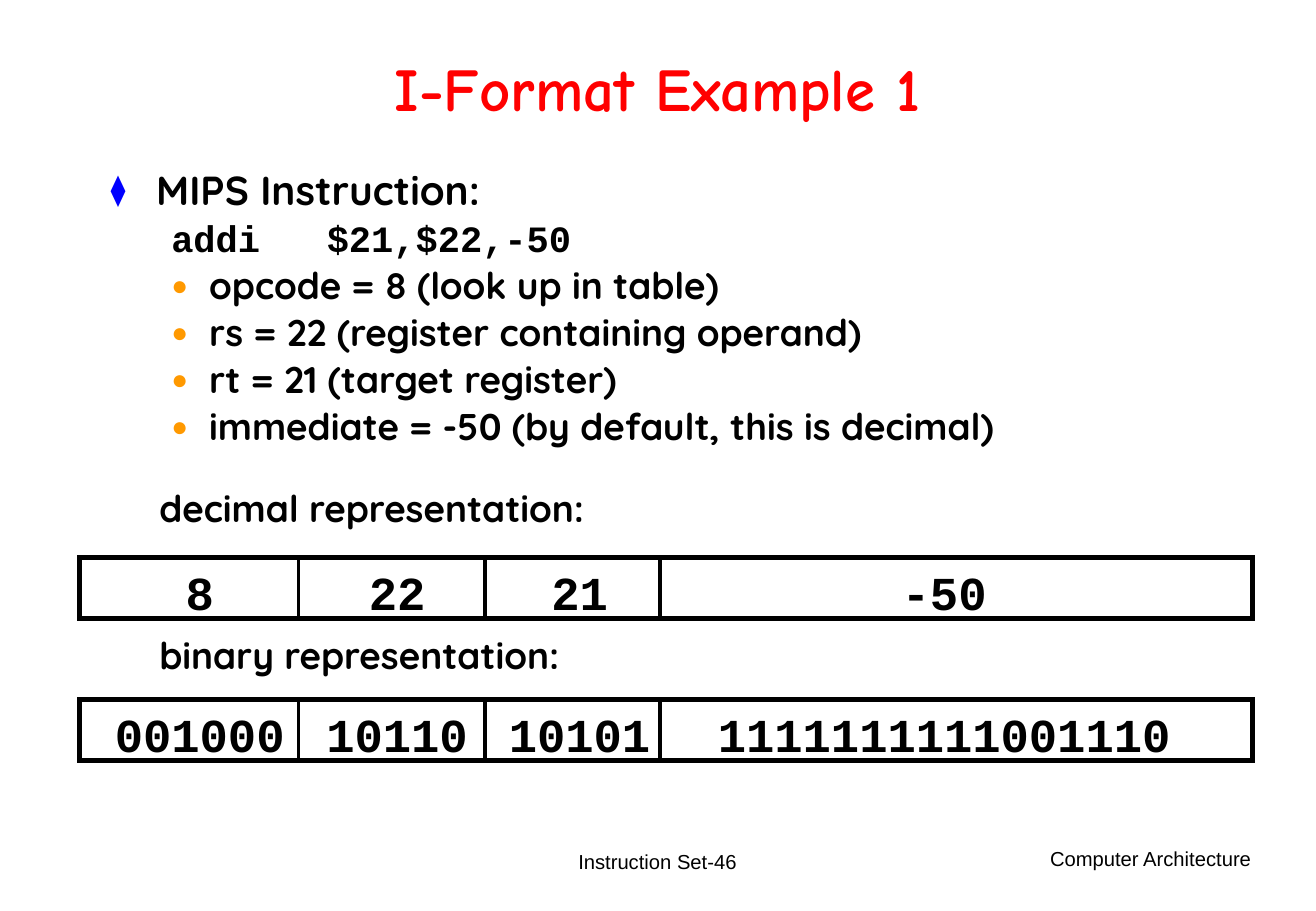
"""Builds the I-Format example slide with decimal and binary field rows."""
from lxml import etree
from pptx import Presentation
from pptx.dml.color import RGBColor
from pptx.enum.shapes import MSO_CONNECTOR, MSO_SHAPE
from pptx.enum.text import MSO_ANCHOR, PP_ALIGN
from pptx.oxml.ns import qn
from pptx.util import Pt

LEFT, CENTER, RIGHT = PP_ALIGN.LEFT, PP_ALIGN.CENTER, PP_ALIGN.RIGHT
TOP, MIDDLE = MSO_ANCHOR.TOP, MSO_ANCHOR.MIDDLE
RECTANGLE, STRAIGHT = MSO_SHAPE.RECTANGLE, MSO_CONNECTOR.STRAIGHT
BLACK = RGBColor(0, 0, 0)
RED = RGBColor(0xFF, 0, 0)
BLUE = RGBColor(0, 0, 0xFF)
ORANGE = RGBColor(0xFF, 0x99, 0)


def add_box(x, y, w, h, align=LEFT, anchor=TOP, wrap=True):
    tf = s.shapes.add_textbox(Pt(x), Pt(y), Pt(w), Pt(h)).text_frame
    tf.word_wrap = wrap
    tf.vertical_anchor = anchor
    tf.paragraphs[0].alignment = align
    return tf


def add_run(p, text, font, size, color=BLACK, bold=True):
    r = p.add_run()
    r.text = text
    r.font.name = font
    r.font.size = Pt(size)
    r.font.color.rgb = color
    r.font.bold = bold


prs = Presentation()
prs.slide_width, prs.slide_height = Pt(780.48), Pt(540)
s = prs.slides.add_slide(prs.slide_layouts[6])

tf = add_box(58.5, 19.5, 663, 71, CENTER, MIDDLE)
tf.paragraphs[0].line_spacing = 0.85
add_run(tf.paragraphs[0], "I-Format Example 1", "Comic Neue", 36, RED)

body = [
    ("MIPS Instruction:", "Quicksand", 24, "⧫", BLUE),
    ("addi   $21,$22,-50", "Courier New", 22, None, None),
    ("opcode = 8 (look up in table)", "Quicksand", 22, "●", ORANGE),
    ("rs = 22 (register containing operand)", "Quicksand", 22, "●", ORANGE),
    ("rt = 21 (target register)", "Quicksand", 22, "●", ORANGE),
    ("immediate = -50 (by default, this is decimal)", "Quicksand", 22, "●", ORANGE),
]
tf = add_box(58.5, 97.4, 663, 400)
for i, (text, font, size, bullet, bullet_color) in enumerate(body):
    p = tf.add_paragraph() if i else tf.paragraphs[0]
    p.level = min(i, 1)
    p.line_spacing = 0.9
    if i:
        p.space_before = Pt(4.1)
    margin, hanging = (58.5, 22.5) if i else (27, 27)
    pPr = p._p.get_or_add_pPr()
    pPr.set("marL", str(Pt(margin)))
    pPr.set("indent", str(-Pt(hanging)))
    if bullet:
        color = etree.SubElement(pPr, qn("a:buClr"))
        etree.SubElement(color, qn("a:srgbClr"), val=str(bullet_color))
        etree.SubElement(pPr, qn("a:buSzPct"), val="75000")
        etree.SubElement(pPr, qn("a:buFont"), typeface="Arial")
        etree.SubElement(pPr, qn("a:buChar"), char=bullet)
    else:
        etree.SubElement(pPr, qn("a:buNone"))
    add_run(p, text, font, size)

CENTERS = [118.5, 235.5, 343.75, 560]
DIVIDERS = [177, 287.5, 391.5]
rows = [
    ("decimal representation:", 288, 330.5, ["8", "22", "21", "-50"]),
    ("binary representation:", 375.5, 414.75, ["001000", "10110", "10101", "1111111111001110"]),
]
for label, label_y, y, fields in rows:
    tf = add_box(89.5, label_y, 630, 28)
    tf.margin_left = tf.margin_right = Pt(5)
    tf.margin_top = tf.margin_bottom = Pt(2.5)
    tf.paragraphs[0].line_spacing = 0.9
    add_run(tf.paragraphs[0], label, "Quicksand", 22)

    for field, center in zip(fields, CENTERS):
        w = 16.8 * len(field) + 14.4
        tf = add_box(center - w / 2, y, w, 41, CENTER, wrap=False)
        add_run(tf.paragraphs[0], field, "Courier New", 28)

    sp = s.shapes.add_shape(RECTANGLE, Pt(47), Pt(y), Pt(696), Pt(36))
    sp.shadow.inherit = False
    sp.fill.background()
    sp.line.color.rgb = BLACK
    sp.line.width = Pt(3)
    etree.SubElement(sp.line._get_or_add_ln(), qn("a:miter"), lim="800000")
    for x in DIVIDERS:
        divider = s.shapes.add_connector(STRAIGHT, Pt(x), Pt(y), Pt(x), Pt(y + 36))
        divider.line.color.rgb = BLACK
        divider.line.width = Pt(2.25)
        etree.SubElement(divider._element.spPr, qn("a:effectLst"))

tf = add_box(266.5, 492.5, 247, 36, CENTER, MIDDLE)
add_run(tf.paragraphs[0], "Instruction Set-46", "Arial", 12, bold=False)
tf = add_box(584.5, 498, 164.75, 36, RIGHT)
add_run(tf.paragraphs[0], "Computer Architecture", "Arial", 12, bold=False)

prs.save("out.pptx")
